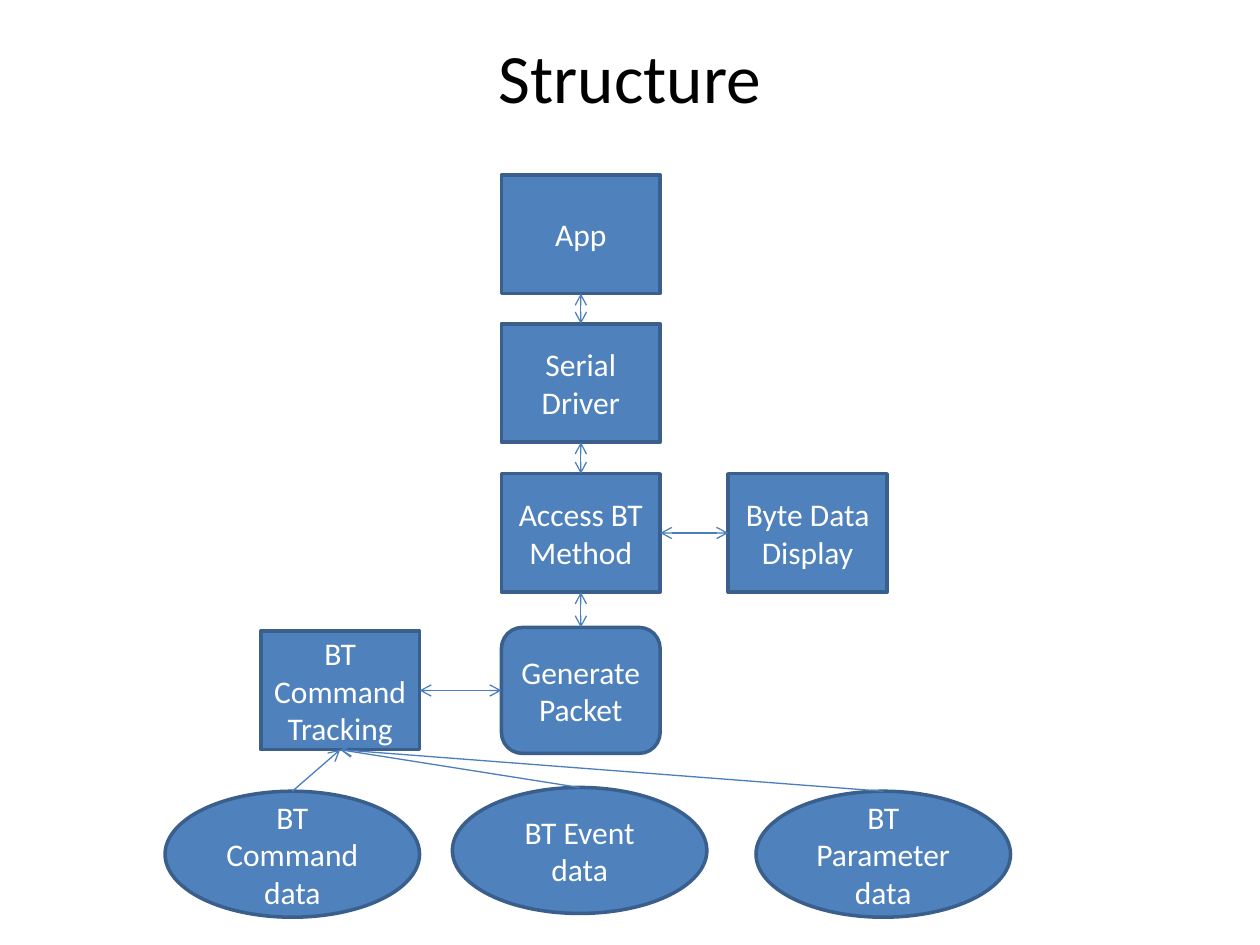
from lxml import etree
from pptx import Presentation
from pptx import util as u
from pptx.dml.color import RGBColor
from pptx.enum import shapes, text
from pptx.oxml.ns import qn

BLACK = RGBColor(0x00, 0x00, 0x00)
WHITE = RGBColor(0xFF, 0xFF, 0xFF)
BOX_FILL = RGBColor(0x4F, 0x81, 0xBD)
BOX_LINE = RGBColor(0x3A, 0x5F, 0x8C)
ARROW = RGBColor(0x4B, 0x7E, 0xBC)

RECTANGLE = shapes.MSO_SHAPE.RECTANGLE
ROUNDED = shapes.MSO_SHAPE.ROUNDED_RECTANGLE
ELLIPSE = shapes.MSO_SHAPE.OVAL
TOP, LEFT, BOTTOM, RIGHT = range(4)

SIZES = {RECTANGLE: (1.26, 0.94), ROUNDED: (1.26, 1), ELLIPSE: (2.02, 1)}
COLUMN = 3.98

# name: (text, kind, left, top)
NODES = {
    "app": ("App", RECTANGLE, COLUMN, 1.39),
    "driver": ("Serial Driver", RECTANGLE, COLUMN, 2.57),
    "access": ("Access BT Method", RECTANGLE, COLUMN, 3.76),
    "display": ("Byte Data Display", RECTANGLE, 5.78, 3.76),
    "packet": ("Generate Packet", ROUNDED, COLUMN, 4.98),
    "tracking": ("BT Command Tracking", RECTANGLE, 2.07, 5.01),
    "command": ("BT Command data", ELLIPSE, 1.31, 6.28),
    "event": ("BT Event data", ELLIPSE, 3.59, 6.25),
    "parameter": ("BT Parameter data", ELLIPSE, 6, 6.28),
}

# start, its side, end, its side
TWO_WAY_LINKS = [
    ("app", BOTTOM, "driver", TOP),
    ("driver", BOTTOM, "access", TOP),
    ("access", BOTTOM, "packet", TOP),
    ("access", RIGHT, "display", LEFT),
    ("tracking", RIGHT, "packet", LEFT),
]


class Diagram:
    """Holds the text and line style and the slide being drawn."""

    title_font = {"name": "Calibri", "size": u.Pt(39.6)}
    box_font = {"name": "Calibri", "size": u.Pt(18)}

    def __init__(self, slide):
        self.slide = slide

    def set_text(self, shape, content, font_format, color):
        frame = shape.text_frame
        frame.word_wrap = True
        frame.vertical_anchor = text.MSO_ANCHOR.MIDDLE
        paragraph = frame.paragraphs[0]
        paragraph.alignment = text.PP_ALIGN.CENTER
        run = paragraph.add_run()
        run.text = content
        for name, value in font_format.items():
            setattr(run.font, name, value)
        run.font.color.rgb = color

    def title(self, content):
        shape = self.slide.shapes.title
        place = {"left": 0.5, "top": 0.3, "width": 9, "height": 0.61}
        for name, value in place.items():
            setattr(shape, name, u.Inches(value))
        self.set_text(shape, content, self.title_font, BLACK)

    def node(self, content, kind, left, top):
        box = (left, top, *SIZES[kind])
        shape = self.slide.shapes.add_shape(kind, *map(u.Inches, box))
        shape.shadow.inherit = False
        shape.fill.solid()
        shape.fill.fore_color.rgb = BOX_FILL
        shape.line.color.rgb = BOX_LINE
        shape.line.width = u.Pt(2)
        self.set_text(shape, content, self.box_font, WHITE)
        return shape

    def arrow(self, start, start_side, end, end_side, ends=("a:tailEnd",)):
        connector = self.slide.shapes.add_connector(
            shapes.MSO_CONNECTOR.STRAIGHT, 0, 0, 0, 0)
        connector.begin_connect(start, start_side)
        connector.end_connect(end, end_side)
        connector.line.color.rgb = ARROW
        connector.line.width = u.Pt(0.75)
        properties = connector._element.spPr
        line = properties.find(qn("a:ln"))
        for tag in ends:
            etree.SubElement(line, qn(tag), type="arrow")
        etree.SubElement(properties, qn("a:effectLst"))


def main():
    presentation = Presentation()
    presentation.slide_width = u.Inches(10)
    presentation.slide_height = u.Inches(7.5)
    slide = presentation.slides.add_slide(presentation.slide_layouts[5])

    diagram = Diagram(slide)
    diagram.title("Structure")
    nodes = {name: diagram.node(*values) for name, values in NODES.items()}
    for start, start_side, end, end_side in TWO_WAY_LINKS:
        diagram.arrow(nodes[start], start_side, nodes[end], end_side,
                      ends=("a:headEnd", "a:tailEnd"))
    for source in ("command", "event", "parameter"):
        diagram.arrow(nodes[source], TOP, nodes["tracking"], BOTTOM)

    presentation.save("out.pptx")


if __name__ == "__main__":
    main()
